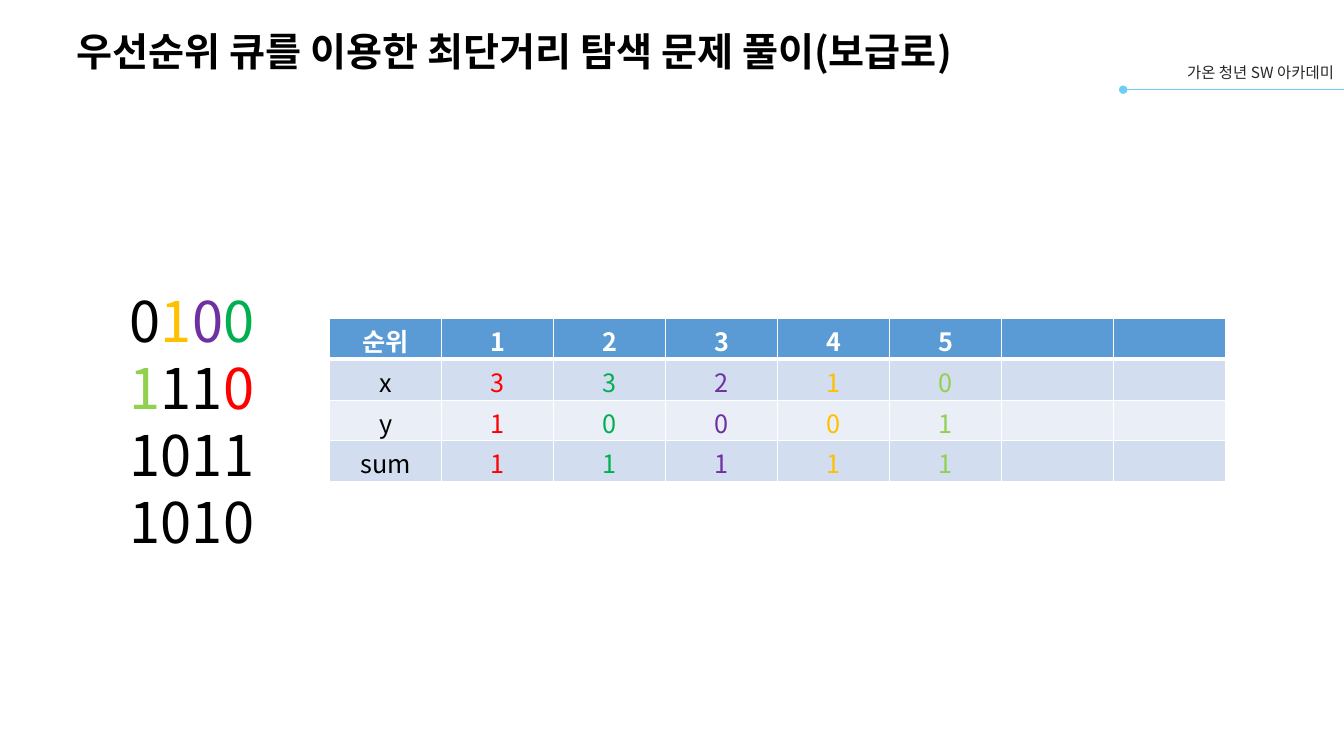
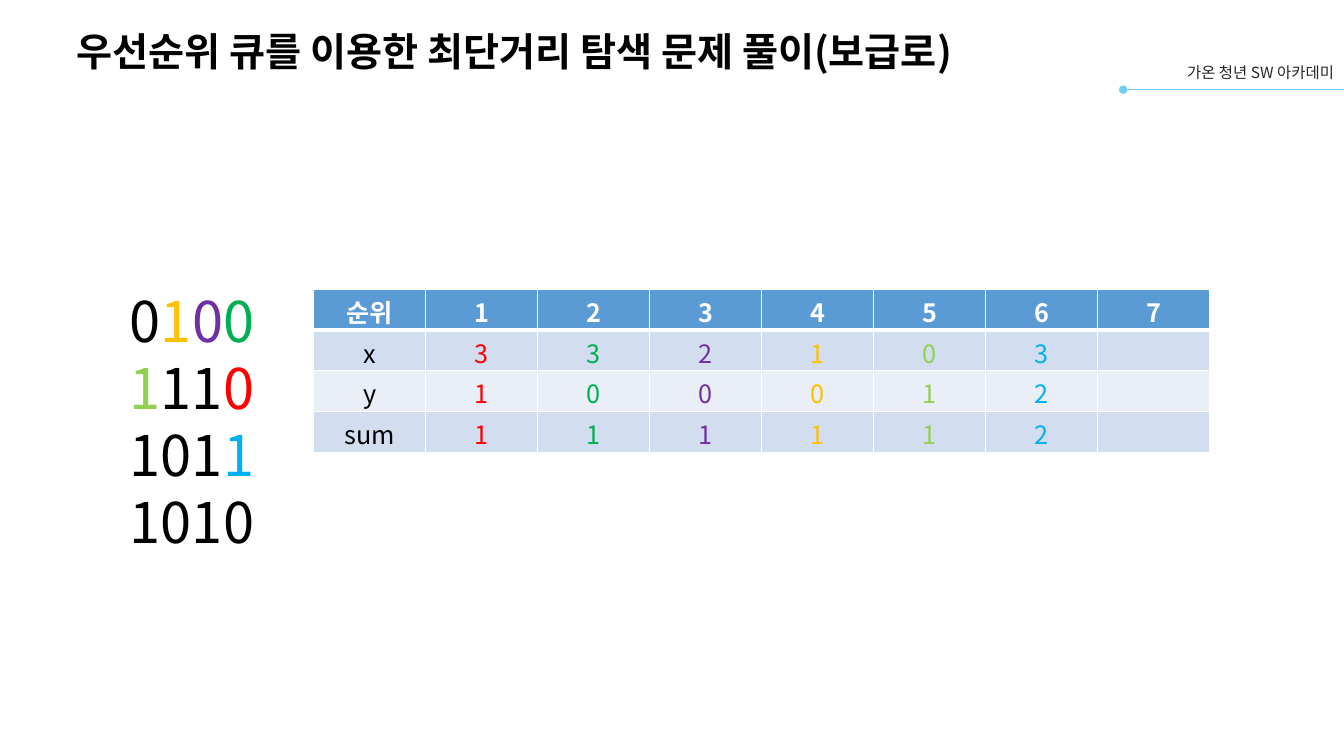
from itertools import groupby

from lxml.etree import SubElement
from pptx import Presentation
from pptx.dml.color import RGBColor
from pptx.enum.shapes import MSO_CONNECTOR
from pptx.enum.text import MSO_ANCHOR, PP_ALIGN
from pptx.oxml.ns import qn
from pptx.util import Inches, Pt

FONT = "Noto Sans CJK KR"
BLACK, WHITE, GREY, SKY = "000000", "FFFFFF", "262626", "6DCEF5"
HEADER_FILL, BAND_FILLS = "5B9BD5", ("D2DEEF", "EAEFF7")
QUEUE_COLORS = ("FF0000", "00B050", "7030A0", "FFC000", "92D050", "00B0F0")

TITLE = "우선순위 큐를 이용한 최단거리 탐색 문제 풀이(보급로)"
ACADEMY = "가온 청년 SW 아카데미"
MAP_ROWS = ("0100", "1110", "1011", "1010")
ROW_LABELS = ("순위", "x", "y", "sum")
COLUMN_COUNT = 8
QUEUE = ((3, 1, 1), (3, 0, 1), (2, 0, 1), (1, 0, 1), (0, 1, 1), (3, 2, 2))


def rgb(value):
    return RGBColor.from_string(value)


class Deck:
    def __init__(self):
        self.presentation = Presentation()
        self.presentation.slide_width = Inches(13.33)
        self.presentation.slide_height = Inches(7.5)
        self.slide = None

    def add_slide(self):
        layout = self.presentation.slide_layouts[6]
        self.slide = self.presentation.slides.add_slide(layout)
        self.add_header_line()
        self.add_text(11.13, 0.58, 2.2, 0.29, [[(ACADEMY, GREY)]], 11, align=PP_ALIGN.RIGHT)
        self.add_text(0.66, 0.14, 11.5, 0.72, [[(TITLE, BLACK)]], 28, bold=True,
                      anchor=MSO_ANCHOR.MIDDLE)

    def add_header_line(self):
        line = self.slide.shapes.add_connector(
            MSO_CONNECTOR.STRAIGHT, Inches(11.14), Inches(0.89), Inches(13.33), Inches(0.89))
        line.line.color.rgb = rgb(SKY)
        line.line.width = Pt(1)
        SubElement(line.line._get_or_add_ln(), qn("a:headEnd"), type="oval")
        SubElement(line._element.spPr, qn("a:effectLst"))

    def add_run(self, paragraph, text, color, size, bold=False):
        run = paragraph.add_run()
        run.text = text
        run.font.size = Pt(size)
        run.font.bold = bold
        run.font.color.rgb = rgb(color)
        run.font.name = FONT
        SubElement(run._r.get_or_add_rPr(), qn("a:ea"), typeface=FONT)

    def add_text(self, left, top, width, height, lines, size, bold=False,
                 align=PP_ALIGN.LEFT, anchor=MSO_ANCHOR.TOP, spacing=None):
        box = self.slide.shapes.add_textbox(
            Inches(left), Inches(top), Inches(width), Inches(height))
        frame = box.text_frame
        frame.word_wrap = True
        frame.vertical_anchor = anchor
        for index, runs in enumerate(lines):
            paragraph = frame.add_paragraph() if index else frame.paragraphs[0]
            paragraph.alignment = align
            paragraph.line_spacing = spacing
            for text, color in runs:
                self.add_run(paragraph, text, color, size, bold)

    def add_map(self, queue):
        colors = {(x, y): color for (x, y, _), color in zip(queue, QUEUE_COLORS)}
        lines = []
        for y, row in enumerate(MAP_ROWS):
            cells = [(digit, colors.get((x, y), BLACK)) for x, digit in enumerate(row)]
            lines.append([("".join(digit for digit, _ in group), color)
                          for color, group in groupby(cells, key=lambda cell: cell[1])])
        self.add_text(1.19, 2.79, 1.55, 2.74, lines, 40, spacing=Pt(48))

    def add_borders(self, cell, row):
        properties = cell._tc.get_or_add_tcPr()
        widths = {"lnL": 1, "lnR": 1, "lnT": 3 if row == 1 else 1, "lnB": 3 if row == 0 else 1}
        for side, width in widths.items():
            border = SubElement(properties, qn(f"a:{side}"), w=str(Pt(width)))
            fill = SubElement(border, qn("a:solidFill"))
            SubElement(fill, qn("a:srgbClr"), val=WHITE)

    def fill_cell(self, cell, row, text, color):
        self.add_borders(cell, row)
        cell.fill.solid()
        cell.fill.fore_color.rgb = rgb(BAND_FILLS[(row - 1) % 2] if row else HEADER_FILL)
        cell.margin_top = Inches(0.1)
        cell.margin_bottom = 0
        paragraph = cell.text_frame.paragraphs[0]
        paragraph.alignment = PP_ALIGN.CENTER
        paragraph.line_spacing = Pt(21.6)
        if text:
            self.add_run(paragraph, text, color, 18, bold=row == 0)

    def add_queue_table(self, left, top, queue, rank_count):
        table = self.slide.shapes.add_table(
            len(ROW_LABELS), COLUMN_COUNT,
            Inches(left), Inches(top), Inches(8.89), Inches(1.62)).table
        columns = [ROW_LABELS]
        for index in range(COLUMN_COUNT - 1):
            rank = index + 1 if index < rank_count else ""
            values = queue[index] if index < len(queue) else ("", "", "")
            columns.append((rank, *values))
        for column, values in enumerate(columns):
            body_color = QUEUE_COLORS[column - 1] if 0 < column <= len(queue) else BLACK
            for row, value in enumerate(values):
                self.fill_cell(table.cell(row, column), row, str(value),
                               body_color if row else WHITE)


def main():
    deck = Deck()
    for left, top, queue, rank_count in ((3.27, 3.16, QUEUE[:5], 5), (3.11, 2.87, QUEUE, 7)):
        deck.add_slide()
        deck.add_map(queue)
        deck.add_queue_table(left, top, queue, rank_count)
    deck.presentation.save("out.pptx")


if __name__ == "__main__":
    main()
